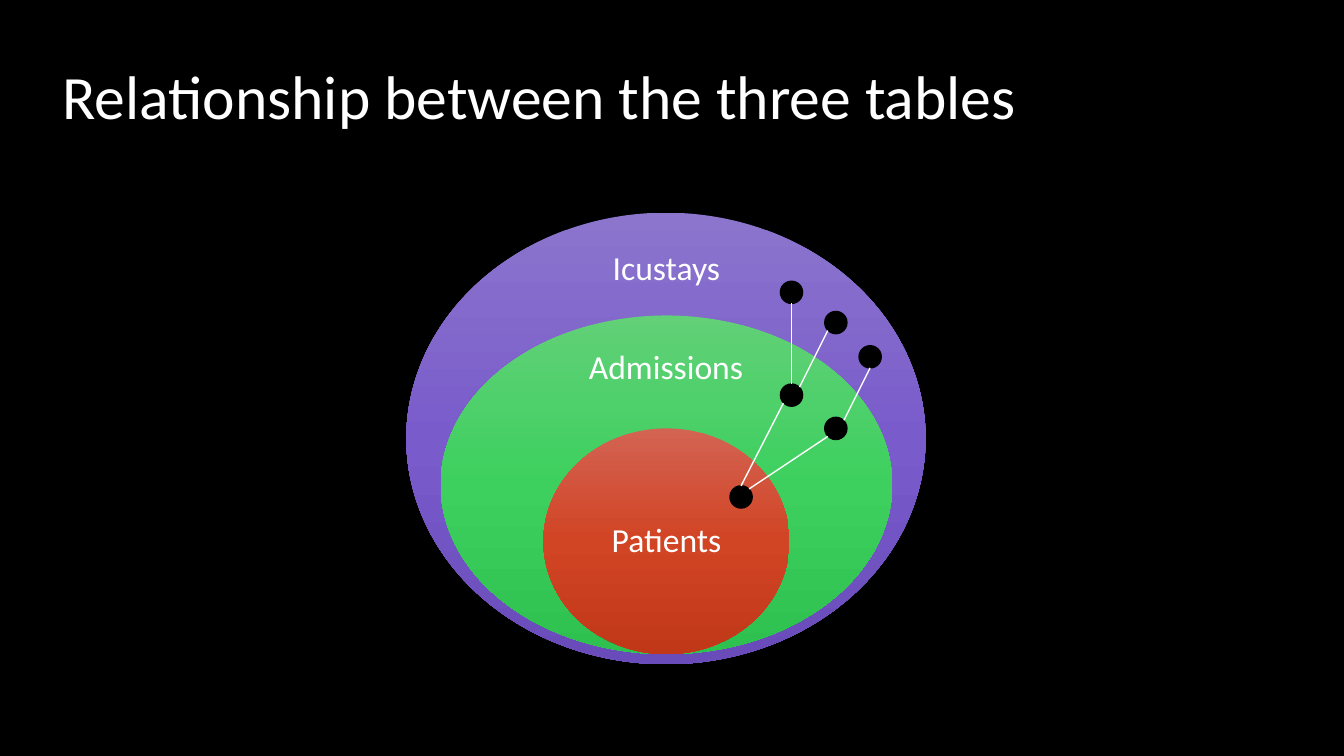
from copy import deepcopy
from math import cos, radians, sin

from pptx import Presentation
from pptx.dml.color import RGBColor
from pptx.enum.shapes import MSO_CONNECTOR as CONNECTOR, MSO_SHAPE as SHAPE
from pptx.enum.text import MSO_ANCHOR as ANCHOR, PP_ALIGN as ALIGN
from pptx.oxml.ns import qn
from pptx.oxml.xmlchemy import OxmlElement
from pptx.util import Pt

PX = 9144
FONT = "Calibri"
BLACK = RGBColor(0x00, 0x00, 0x00)
WHITE = RGBColor(0xFF, 0xFF, 0xFF)
PURPLES = RGBColor(0x8B, 0x75, 0xCD), RGBColor(0x7A, 0x5B, 0xCB), RGBColor(0x6A, 0x4B, 0xBA)
GREENS = RGBColor(0x61, 0xD0, 0x77), RGBColor(0x3D, 0xD0, 0x5F), RGBColor(0x2F, 0xC1, 0x50)
REDS = RGBColor(0xD3, 0x63, 0x53), RGBColor(0xD1, 0x44, 0x24), RGBColor(0xC1, 0x38, 0x19)

TABLES = [
    ("Icustays", (403, 211, 515, 448), (571, 234, 180, 67), PURPLES),
    ("Admissions", (437, 313, 448, 336), (556, 334, 209, 63), GREENS),
    ("Patients", (539, 425, 244, 224), (575, 481, 172, 112), REDS),
]

DOT_RADIUS = 11
DOT_CENTERS = {
    "patient": (735, 493),
    "admission 1": (785, 392),
    "admission 2": (829, 425),
    "stay 1": (785, 290),
    "stay 2": (829, 320),
    "stay 3": (863, 354),
}
TOP, TOP_RIGHT, BOTTOM, BOTTOM_LEFT = 90, 45, 270, 225
LINKS = [
    ("patient", TOP, "admission 1", BOTTOM_LEFT),
    ("patient", TOP_RIGHT, "admission 2", BOTTOM_LEFT),
    ("admission 1", TOP, "stay 1", BOTTOM),
    ("admission 1", TOP_RIGHT, "stay 2", BOTTOM_LEFT),
    ("admission 2", TOP_RIGHT, "stay 3", BOTTOM),
]


def emu(lengths):
    return [length * PX for length in lengths]


def add_text(shapes, text, area, size, align, inset_x, inset_y):
    box = shapes.add_textbox(*emu(area))
    frame = box.text_frame
    frame.word_wrap = True
    frame.vertical_anchor = ANCHOR.MIDDLE
    frame.margin_left = frame.margin_right = inset_x * PX
    frame.margin_top = frame.margin_bottom = inset_y * PX
    para = frame.paragraphs[0]
    para.text = text
    para.alignment = align
    para.line_spacing = 0.9
    para.font.name = FONT
    para.font.size = Pt(size)
    para.font.color.rgb = WHITE


def add_ellipse(shapes, area):
    ellipse = shapes.add_shape(SHAPE.OVAL, *emu(area))
    ellipse.shadow.inherit = False
    return ellipse


def fill_gradient(shape, colors):
    shape.fill.gradient()
    shape.fill.gradient_angle = 270
    stop_list = shape.element.spPr.find(".//" + qn("a:gsLst"))
    stop_list.insert(1, deepcopy(stop_list[0]))
    for index, (stop, color) in enumerate(zip(shape.fill.gradient_stops, colors)):
        stop.position = index / 2
        stop.color.rgb = color


def add_table_ring(shapes, name, area, label_area, colors):
    ring = add_ellipse(shapes, area)
    fill_gradient(ring, colors)
    ring.line.fill.background()
    add_text(shapes, name, label_area, 24, ALIGN.CENTER, 19, 19)


def add_dot(shapes, center):
    x, y = center
    dot = add_ellipse(shapes, (x - DOT_RADIUS, y - DOT_RADIUS, 2 * DOT_RADIUS, 2 * DOT_RADIUS))
    dot.fill.solid()
    dot.fill.fore_color.rgb = BLACK
    dot.line.color.rgb = BLACK
    dot.line.width = Pt(1)


def rim_point(name, angle):
    x, y = DOT_CENTERS[name]
    turn = radians(angle)
    return round(x + DOT_RADIUS * cos(turn)), round(y - DOT_RADIUS * sin(turn))


def add_link(shapes, start, start_angle, end, end_angle):
    points = rim_point(start, start_angle) + rim_point(end, end_angle)
    link = shapes.add_connector(CONNECTOR.STRAIGHT, *emu(points))
    link.line.color.rgb = WHITE
    link.line.width = Pt(1)
    link.element.spPr.append(OxmlElement("a:effectLst"))


def main():
    deck = Presentation()
    deck.slide_width, deck.slide_height = emu((1333, 750))
    page = deck.slides.add_slide(deck.slide_layouts[6])
    page.background.fill.solid()
    page.background.fill.fore_color.rgb = BLACK

    add_text(page.shapes, "Relationship between the three tables",
             (52, 26, 1150, 145), 44, ALIGN.LEFT, 10, 5)
    rings = page.shapes.add_group_shape()
    for table in TABLES:
        add_table_ring(rings.shapes, *table)
    for center in DOT_CENTERS.values():
        add_dot(page.shapes, center)
    for link in LINKS:
        add_link(page.shapes, *link)
    deck.save("out.pptx")


if __name__ == "__main__":
    main()
